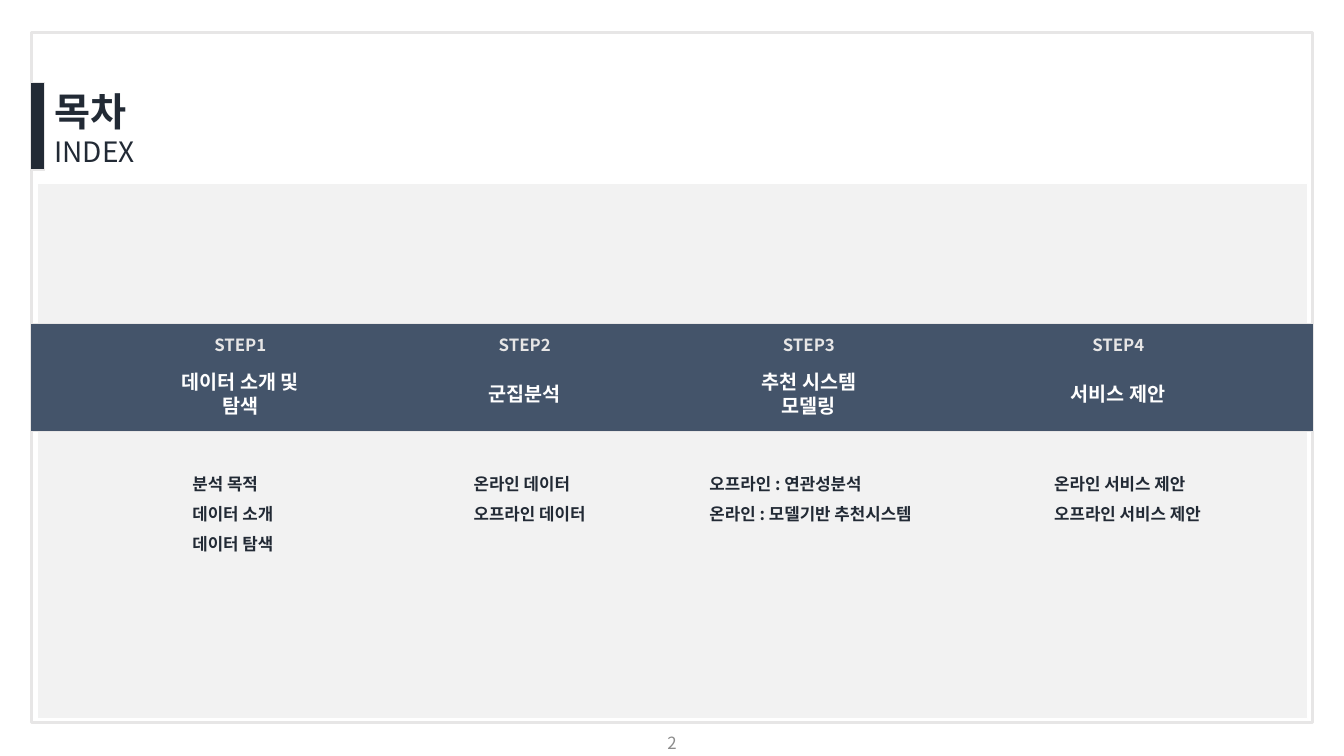
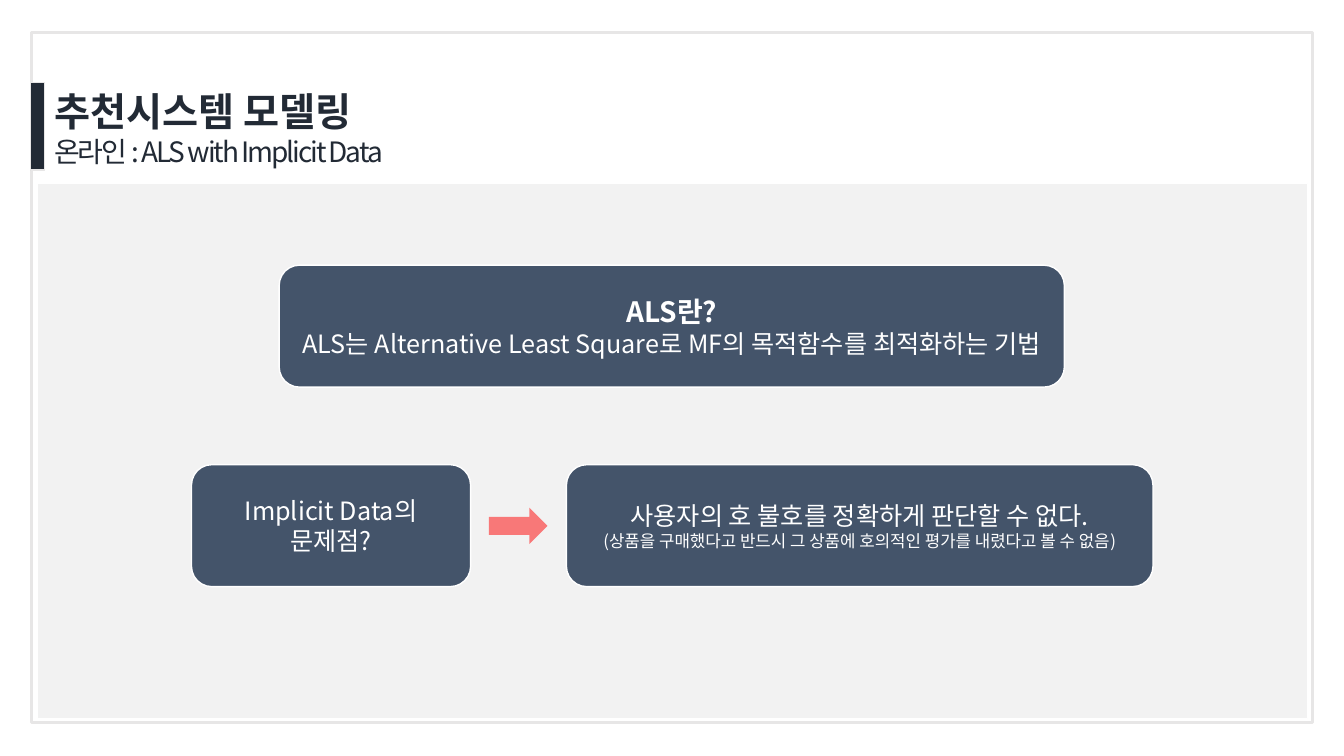
from lxml import etree
from pptx import Presentation
from pptx.dml.color import RGBColor
from pptx.enum.shapes import MSO_SHAPE
from pptx.enum.text import MSO_ANCHOR, PP_ALIGN
from pptx.oxml.ns import qn
from pptx.util import Pt

RECTANGLE = MSO_SHAPE.RECTANGLE
ROUNDED = MSO_SHAPE.ROUNDED_RECTANGLE
RIGHT_ARROW = MSO_SHAPE.RIGHT_ARROW
LEFT, CENTER = PP_ALIGN.LEFT, PP_ALIGN.CENTER
TOP, MIDDLE = MSO_ANCHOR.TOP, MSO_ANCHOR.MIDDLE

FONT = "Noto Sans CJK KR"
NAVY, SLATE, GRAY = "222A35", "44546A", "E7E6E6"
PANEL, WHITE, RED, NUMBER_GRAY = "F2F2F2", "FFFFFF", "FF0000", "8C8C8C"

INDEX_HEADING = ("목차", "INDEX")
INDEX_PAGE = "2"
STEPS = [
    {"center": 171.7, "list_left": 130.3, "title": ["데이터 소개 및 탐색"],
     "items": ["분석 목적", "데이터 소개", "데이터 탐색"]},
    {"center": 374.8, "list_left": 331.2, "title": ["군집분석"],
     "items": ["온라인 데이터", "오프라인 데이터"]},
    {"center": 577.8, "list_left": 499.7, "title": ["추천 시스템", "모델링"],
     "items": ["오프라인 : 연관성분석", "온라인 : 모델기반 추천시스템"]},
    {"center": 798.8, "list_left": 745.9, "title": ["서비스 제안"],
     "items": ["온라인 서비스 제안", "오프라인 서비스 제안"]},
]

ALS_HEADING = ("추천시스템 모델링", "온라인 : ALS with Implicit Data")
CARD_HEIGHT = 87.1
CARDS = [
    (199.4, 189.4, 560.9, [
        ("ALS란?", 20, True),
        ("ALS는 Alternative Least Square로 MF의 목적함수를 최적화하는 기법", 18, False)]),
    (136.8, 331.9, 199.4, [("Implicit Data의 문제점?", 18, False)]),
    (404.6, 331.9, 419, [
        ("사용자의 호 불호를 정확하게 판단할 수 없다.", 18, False),
        ("(상품을 구매했다고 반드시 그 상품에 호의적인 평가를 내렸다고 볼 수 없음)", 12, False)]),
]
ARROW_BOX = (349.2, 362.7, 41.8, 25.9)


def color(value):
    return RGBColor.from_string(value)


def add_box(slide, kind, box, fill=None, line=None, line_width=1):
    shape = slide.shapes.add_shape(kind, *map(Pt, box))
    shape.shadow.inherit = False
    if fill:
        shape.fill.solid()
        shape.fill.fore_color.rgb = color(fill)
    else:
        shape.fill.background()
    if line:
        shape.line.color.rgb = color(line)
        shape.line.width = Pt(line_width)
    else:
        shape.line.fill.background()
    return shape


def write(shape, lines, text_color, align=LEFT, anchor=TOP, spacing=None):
    frame = shape.text_frame
    frame.word_wrap = True
    frame.vertical_anchor = anchor
    frame.text = "\n".join(text for text, _, _ in lines)
    for paragraph, (_, size, bold) in zip(frame.paragraphs, lines):
        paragraph.alignment = align
        if spacing:
            paragraph.line_spacing = spacing
        for run in paragraph.runs:
            run.font.size = Pt(size)
            run.font.bold = bold
            run.font.color.rgb = color(text_color)
            run.font.name = FONT
            east_asian = etree.SubElement(run.font._element, qn("a:ea"))
            east_asian.set("typeface", FONT)


def add_text(slide, box, lines, text_color, **layout):
    shape = slide.shapes.add_textbox(*map(Pt, box))
    write(shape, lines, text_color, **layout)
    return shape


def add_base(presentation, heading):
    slide = presentation.slides.add_slide(presentation.slide_layouts[6])
    add_box(slide, RECTANGLE, (22.3, 23, 915.1, 493.2), line=GRAY, line_width=2.25)
    add_box(slide, RECTANGLE, (26.6, 131, 907.2, 382.3), PANEL, WHITE)
    title, subtitle = heading
    heading_box = add_text(slide, (31.7, 59, 600, 65.5),
                           [(title, 28, True), (subtitle, 20, False)], NAVY)
    add_box(slide, RECTANGLE, (21.6, 59, 10.1, 62.6), NAVY, GRAY)
    return slide, heading_box


def build_index(presentation):
    slide, _ = add_base(presentation, INDEX_HEADING)
    add_box(slide, RECTANGLE, (21.6, 231.1, 916.6, 77), SLATE, GRAY)
    for number, step in enumerate(STEPS, 1):
        left = step["center"] - 52.2
        add_text(slide, (left, 235.4, 104.4, 21.8), [(f"STEP{number}", 12, True)],
                 GRAY, align=CENTER)
        add_text(slide, (left, 260.6, 104.4, 41.2),
                 [(text, 14, True) for text in step["title"]],
                 WHITE, align=CENTER, anchor=MIDDLE)
        add_text(slide, (step["list_left"], 327.6, 170, 71),
                 [(text, 12, True) for text in step["items"]], NAVY, spacing=1.5)
    add_text(slide, (372, 516.2, 216, 28.1), [(INDEX_PAGE, 12, False)],
             NUMBER_GRAY, align=CENTER, anchor=MIDDLE)


def build_als(presentation):
    slide, heading_box = add_base(presentation, ALS_HEADING)
    subtitle_run = heading_box.text_frame.paragraphs[1].runs[0]
    subtitle_run.font._element.set("spc", "-150")
    for left, top, width, lines in CARDS:
        card = add_box(slide, ROUNDED, (left, top, width, CARD_HEIGHT), SLATE, WHITE)
        write(card, lines, WHITE, align=CENTER, anchor=MIDDLE)
    arrow = add_box(slide, RIGHT_ARROW, ARROW_BOX, RED)
    fill_color = arrow._element.spPr.find(qn("a:solidFill"))[0]
    etree.SubElement(fill_color, qn("a:alpha")).set("val", "50000")


def main():
    presentation = Presentation()
    presentation.slide_width, presentation.slide_height = Pt(960), Pt(540)
    build_index(presentation)
    build_als(presentation)
    presentation.save("out.pptx")


if __name__ == "__main__":
    main()
